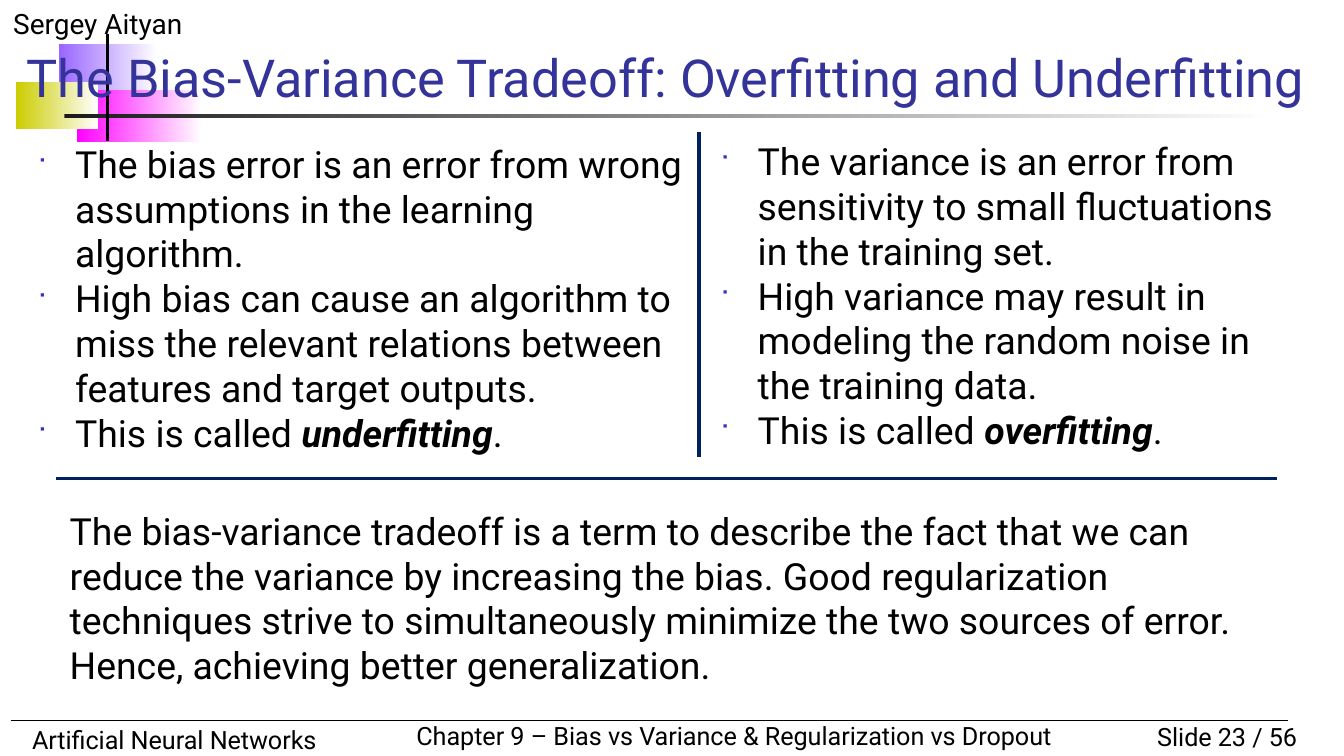
from typing import NamedTuple

from lxml import etree
from pptx import Presentation
from pptx.dml.color import RGBColor
from pptx.enum.shapes import MSO_CONNECTOR, MSO_SHAPE
from pptx.enum.text import MSO_ANCHOR, PP_ALIGN
from pptx.oxml.ns import qn
from pptx.util import Inches, Pt

RECTANGLE = MSO_SHAPE.RECTANGLE
STRAIGHT = MSO_CONNECTOR.STRAIGHT
TOP, BOTTOM = MSO_ANCHOR.TOP, MSO_ANCHOR.BOTTOM
LEFT, RIGHT = PP_ALIGN.LEFT, PP_ALIGN.RIGHT

FONT = "Roboto"
BULLET_FONT = "Wingdings"
BULLET_INDENT = 0.28
COLORS = {
    "text": "000000",
    "title": "333399",
    "bullet": "3333CC",
    "divider": "002060",
    "violet": "9966FF",
    "magenta": "FF00FF",
    "yellow": "CCCC00",
    "charcoal": "1C1C1C",
    "white": "FFFFFF",
}


class Box(NamedTuple):
    left: float
    top: float
    width: float
    height: float


class Fade(NamedTuple):
    box: Box
    color: str


class Rule(NamedTuple):
    start: tuple[float, float]
    end: tuple[float, float]
    color: str
    width: float


class Run(NamedTuple):
    text: str
    emphasis: bool = False


class TextBlock(NamedTuple):
    box: Box
    paragraphs: list[list[Run]]
    size: float
    color: str = "text"
    align: PP_ALIGN = LEFT
    anchor: MSO_ANCHOR = TOP
    wrap: bool = True
    bulleted: bool = False


FADES = [
    Fade(Box(0.44, 0.33, 0.73, 0.39), "violet"),
    Fade(Box(0.57, 0.67, 0.93, 0.39), "magenta"),
    Fade(Box(0.12, 0.61, 0.61, 0.35), "yellow"),
    Fade(Box(0.48, 0.85, 9, 0.03), "charcoal"),
]

FRAME_TEXTS = [
    TextBlock(Box(0, 0, 2.5, 0.35), [[Run("Sergey Aityan")]], 15),
    TextBlock(Box(8.25, 5.32, 1.5, 0.33), [[Run("Slide 23 / 56")]], 13.5, align=RIGHT),
    TextBlock(Box(0.14, 5.34, 3.7, 0.33), [[Run("Artificial Neural Networks")]], 13.5),
    TextBlock(
        Box(3, 5.31, 4.99, 0.33),
        [[Run("Chapter 9 – Bias vs Variance & Regularization vs Dropout")]],
        13.5,
        wrap=False,
    ),
]

FRAME_RULES = [
    Rule((0.08, 5.36), (9.58, 5.36), "text", 0.75),
    Rule((0.8, 0.25), (0.8, 1.05), "text", 2),
]

CONTENT_TEXTS = [
    TextBlock(
        Box(0.1, 0.31, 9.9, 0.54),
        [[Run("The Bias-Variance Tradeoff: Overfitting and Underfitting")]],
        28,
        color="title",
        anchor=BOTTOM,
    ),
    TextBlock(
        Box(0.42, 3.73, 8.95, 1.43),
        [[Run(
            "The bias-variance tradeoff is a term to describe the fact that we can "
            "reduce the variance by increasing the bias. Good regularization "
            "techniques strive to simultaneously minimize the two sources of error. "
            "Hence, achieving better generalization."
        )]],
        20,
    ),
    TextBlock(
        Box(0.18, 1, 5.02, 2.09),
        [
            [Run("The bias error is an error from wrong assumptions in the learning "
                 "algorithm.")],
            [Run("High bias can cause an algorithm to miss the relevant relations "
                 "between features and target outputs.")],
            [Run("This is called "), Run("underfitting", True), Run(".")],
        ],
        20,
        bulleted=True,
    ),
    TextBlock(
        Box(5.26, 0.98, 4.36, 2.09),
        [
            [Run("The variance is an error from sensitivity to small fluctuations "
                 "in the training set.")],
            [Run("High variance may result in modeling the random noise in the "
                 "training data.")],
            [Run("This is called "), Run("overfitting", True), Run(".")],
        ],
        20,
        bulleted=True,
    ),
]

DIVIDERS = [
    Rule((0.42, 3.56), (9.5, 3.56), "divider", 2),
    Rule((5.2, 0.98), (5.2, 3.4), "divider", 2),
]


def rgb(color: str) -> RGBColor:
    return RGBColor.from_string(COLORS[color])


def draw_fade(slide, fade: Fade) -> None:
    """Draw a borderless bar that fades to white from left to right."""
    bar = slide.shapes.add_shape(RECTANGLE, *map(Inches, fade.box))
    bar.shadow.inherit = False
    bar.line.fill.background()
    bar.fill.gradient()
    bar.fill.gradient_angle = 0
    for stop, color in zip(bar.fill.gradient_stops, (fade.color, "white")):
        stop.color.rgb = rgb(color)


def draw_rule(slide, rule: Rule) -> None:
    line = slide.shapes.add_connector(STRAIGHT, *map(Inches, rule.start + rule.end))
    line.line.color.rgb = rgb(rule.color)
    line.line.width = Pt(rule.width)
    etree.SubElement(line._element.spPr, qn("a:effectLst"))


def add_bullet(paragraph) -> None:
    properties = paragraph._p.get_or_add_pPr()
    properties.set("marL", str(Inches(BULLET_INDENT)))
    properties.set("indent", str(-Inches(BULLET_INDENT)))
    bullet_color = etree.SubElement(properties, qn("a:buClr"))
    etree.SubElement(bullet_color, qn("a:srgbClr"), val=COLORS["bullet"])
    etree.SubElement(properties, qn("a:buSzPct"), val="60000")
    etree.SubElement(properties, qn("a:buFont"), typeface=BULLET_FONT)
    etree.SubElement(properties, qn("a:buChar"), char="■")


def draw_text(slide, block: TextBlock) -> None:
    frame = slide.shapes.add_textbox(*map(Inches, block.box)).text_frame
    frame.word_wrap = block.wrap
    frame.vertical_anchor = block.anchor
    for index, runs in enumerate(block.paragraphs):
        paragraph = frame.add_paragraph() if index else frame.paragraphs[0]
        paragraph.alignment = block.align
        if block.bulleted:
            add_bullet(paragraph)
        for part in runs:
            run = paragraph.add_run()
            run.text = part.text
            run.font.color.rgb = rgb(block.color)
            font_format = {"name": FONT, "size": Pt(block.size),
                           "bold": part.emphasis, "italic": part.emphasis}
            for attribute, value in font_format.items():
                setattr(run.font, attribute, value)


def main() -> None:
    presentation = Presentation()
    presentation.slide_width = Inches(10)
    presentation.slide_height = Inches(10 * 9 / 16)
    slide = presentation.slides.add_slide(presentation.slide_layouts[6])
    layers = [
        (draw_fade, FADES),
        (draw_text, FRAME_TEXTS),
        (draw_rule, FRAME_RULES),
        (draw_text, CONTENT_TEXTS),
        (draw_rule, DIVIDERS),
    ]
    for draw, items in layers:
        for item in items:
            draw(slide, item)
    presentation.save("out.pptx")


if __name__ == "__main__":
    main()
